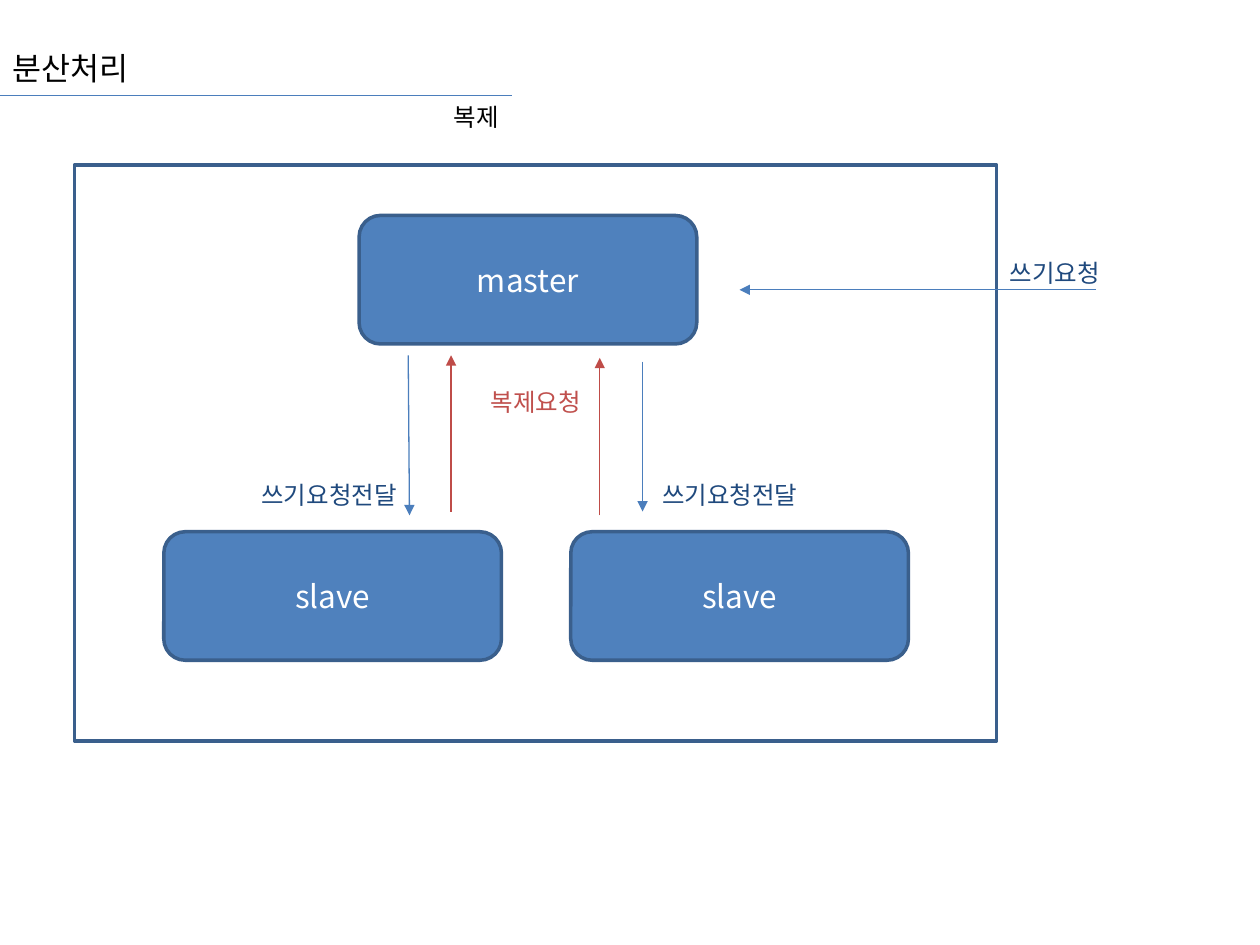
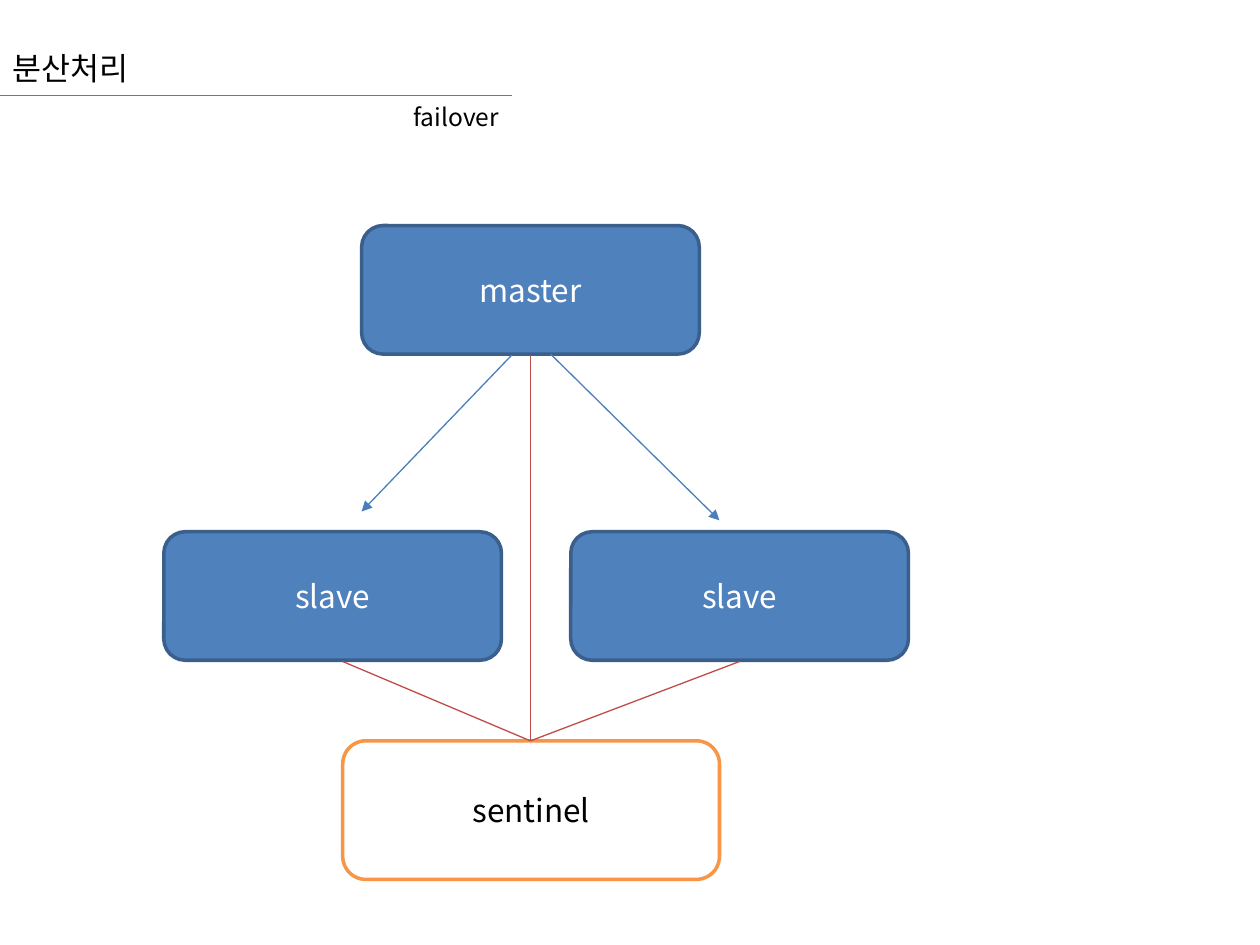
import dataclasses

import lxml.etree
import pptx
import pptx.dml.color
import pptx.enum.shapes
import pptx.enum.text
import pptx.oxml.ns
import pptx.util

SLIDE_WIDTH = pptx.util.Inches(10)
SLIDE_HEIGHT = pptx.util.Inches(7.5)
COLUMN = SLIDE_WIDTH / 100
ROW = SLIDE_HEIGHT / 75
FONT = "Noto Sans CJK KR"
COLORS = {
    "node": "4F81BD",
    "outline": "3A5F8C",
    "flow": "4B7EBC",
    "link": "BF4C48",
    "sentinel": "F79646",
    "write": "1F497D",
    "copy": "C0504D",
    "black": "000000",
    "white": "FFFFFF",
}
NODE_SIZE = (26.8, 10.2)
LABEL_SIZE = (21.3, 3.4)
SLAVE_PITCH = 32.3
ALIGN = pptx.enum.text.PP_ALIGN
ANCHOR = pptx.enum.text.MSO_ANCHOR
SHAPE = pptx.enum.shapes.MSO_SHAPE


@dataclasses.dataclass
class Box:
    left: float
    top: float
    width: float
    height: float

    def inside(self, column, row, size):
        return Box(self.left + column, self.top + row, *size)

    def point(self, column, row):
        return round((self.left + column) * COLUMN), round((self.top + row) * ROW)

    def frame(self):
        return (*self.point(0, 0), round(self.width * COLUMN), round(self.height * ROW))


def rgb(color):
    return pptx.dml.color.RGBColor.from_string(COLORS[color])


def write_text(holder, text, size=18, color="black", align=ALIGN.LEFT, anchor=ANCHOR.TOP):
    frame = holder.text_frame
    frame.word_wrap = True
    frame.auto_size = pptx.enum.text.MSO_AUTO_SIZE.NONE
    frame.vertical_anchor = anchor
    paragraph = frame.paragraphs[0]
    paragraph.alignment = align
    run = paragraph.add_run()
    run.text = text
    run.font.size = pptx.util.Pt(size)
    run.font.color.rgb = rgb(color)
    run.font.name = FONT
    east_asian = lxml.etree.SubElement(run._r.get_or_add_rPr(), pptx.oxml.ns.qn("a:ea"))
    east_asian.set("typeface", FONT)


def add_label(slide, box, text, color="black"):
    label = slide.shapes.add_textbox(*box.frame())
    write_text(label, text, size=14, color=color, align=ALIGN.RIGHT)


def add_panel(slide, box, kind=SHAPE.ROUNDED_RECTANGLE, fill=None, outline="outline"):
    panel = slide.shapes.add_shape(kind, *box.frame())
    panel.shadow.inherit = False
    if fill:
        panel.fill.solid()
        panel.fill.fore_color.rgb = rgb(fill)
    else:
        panel.fill.background()
    panel.line.color.rgb = rgb(outline)
    panel.line.width = pptx.util.Pt(2)
    return panel


def add_node(slide, box, text, fill="node", outline="outline", color="white"):
    node = add_panel(slide, box, fill=fill, outline=outline)
    write_text(node, text, color=color, align=ALIGN.CENTER, anchor=ANCHOR.MIDDLE)


def add_link(slide, box, start, end, color="flow", arrow=False):
    link = slide.shapes.add_connector(
        pptx.enum.shapes.MSO_CONNECTOR.STRAIGHT, *box.point(*start), *box.point(*end)
    )
    link.line.color.rgb = rgb(color)
    link.line.width = pptx.util.Pt(0.75)
    if arrow:
        tail = lxml.etree.SubElement(link.line._get_or_add_ln(), pptx.oxml.ns.qn("a:tailEnd"))
        tail.set("type", "triangle")
    lxml.etree.SubElement(link._element.spPr, pptx.oxml.ns.qn("a:effectLst"))


def add_heading(slide, box, topic):
    title = slide.shapes.title
    title.left, title.top, title.width, title.height = box.inside(0, 0, (23.6, 4.1)).frame()
    write_text(title, "분산처리")
    add_link(slide, box, (0, 4.2), (box.width, 4.2))
    add_label(slide, box.inside(19.3, 4.2, LABEL_SIZE), topic)


def add_slaves(slide, box, column, row):
    for index in range(2):
        add_node(slide, box.inside(column + index * SLAVE_PITCH, row, NODE_SIZE), "slave")


def add_replication(slide, box):
    add_panel(slide, box, kind=SHAPE.RECTANGLE)
    add_node(slide, box.inside(22.6, 4, NODE_SIZE), "master")
    add_slaves(slide, box, 7.1, 29.1)
    for start, end, color in (
        ((26.5, 15.1), (26.6, 27.8), "flow"),
        ((45.1, 15.6), (45.1, 27.5), "flow"),
        ((81.1, 9.9), (52.8, 9.9), "flow"),
        ((29.9, 27.5), (29.9, 15.1), "link"),
        ((41.7, 27.8), (41.7, 15.3), "link"),
    ):
        add_link(slide, box, start, end, color=color, arrow=True)
    for column, row, text, color in (
        (5.3, 24.5, "쓰기요청전달", "write"),
        (37.1, 24.5, "쓰기요청전달", "write"),
        (61.1, 6.9, "쓰기요청", "write"),
        (19.9, 17.1, "복제요청", "copy"),
    ):
        add_label(slide, box.inside(column, row, LABEL_SIZE), text, color=color)


def add_failover(slide, box):
    add_node(slide, box.inside(15.7, 0, NODE_SIZE), "master")
    add_slaves(slide, box, 0, 24.3)
    add_link(slide, box, (27.6, 10.3), (15.7, 22.7), arrow=True)
    add_link(slide, box, (30.7, 10.2), (44.1, 23.4), arrow=True)
    add_node(slide, box.inside(14.2, 40.9, (29.9, 11)), "sentinel",
             fill="white", outline="sentinel", color="black")
    for watched in ((29.1, 10.3), (14.2, 34.6), (45.7, 34.6)):
        add_link(slide, box, (29.1, 40.9), watched, color="link")


def main():
    deck = pptx.Presentation()
    deck.slide_width, deck.slide_height = SLIDE_WIDTH, SLIDE_HEIGHT
    title_only = deck.slide_layouts[5]
    for topic, add_diagram, box in (
        ("복제", add_replication, Box(5.9, 13.1, 73.2, 45.7)),
        ("failover", add_failover, Box(13, 17.9, 59.1, 51.9)),
    ):
        slide = deck.slides.add_slide(title_only)
        add_heading(slide, Box(0, 3.4, 40.6, 7.6), topic)
        add_diagram(slide, box)
    deck.save("out.pptx")


if __name__ == "__main__":
    main()
